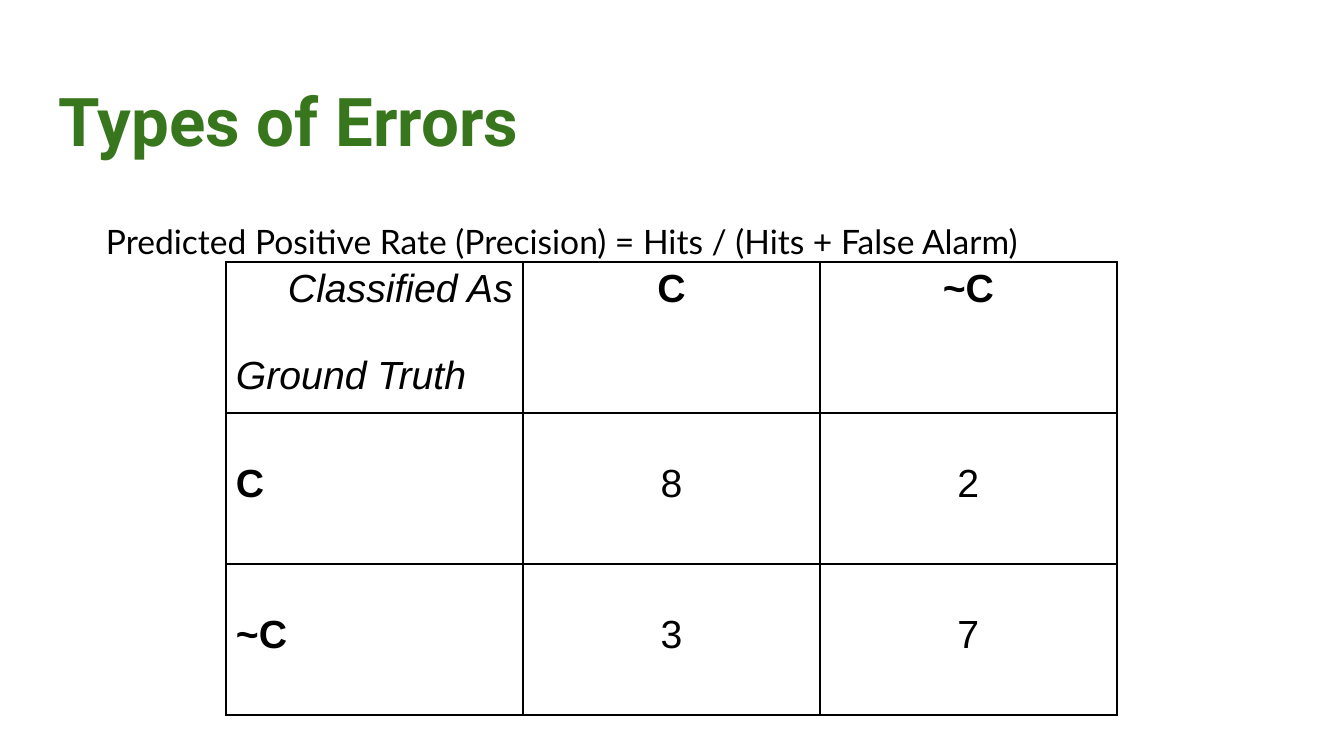
from lxml.etree import SubElement as Sub
from pptx import Presentation
from pptx.dml.color import RGBColor as RGB
from pptx.enum.text import PP_ALIGN as AL
from pptx.oxml.ns import qn
from pptx.util import Pt

THEME = {
    "green": "38761D", "ink": "000000",
    "title": ("Roboto", 36), "body": ("Lato", 18), "cell": ("Arial", 21),
}
TITLE = "Types of Errors"
RULE = "Predicted Positive Rate (Precision) = Hits / (Hits + False Alarm)"
AXES = [("Classified As", AL.RIGHT, 0), ("Ground Truth", AL.LEFT, 23.3)]
NAMES = ["C", "~C"]
COUNTS = [[8, 2], [3, 7]]

LEFT, TOP, COL, ROW = 226, 262, 297, 151
PAD_X, PAD_Y, DROP = 10, 5, 49


def px(n):
    return round(n * 914400 / 134.4)


def write(par, text, role, color="ink", bold=False, italic=False):
    par.text = text
    font = par.font
    font.name, size = THEME[role]
    font.size = Pt(size)
    font.bold, font.italic = bold, italic
    font.color.rgb = RGB.from_string(THEME[color])


def label(slide, box, text, role, **look):
    frame = slide.shapes.add_textbox(*map(px, box)).text_frame
    frame.word_wrap = True
    frame.margin_left = frame.margin_right = px(13)
    frame.margin_top = frame.margin_bottom = px(13)
    write(frame.paragraphs[0], text, role, **look)
    return frame.paragraphs[0]


def border(cell):
    props = cell._tc.get_or_add_tcPr()
    for side in ("lnL", "lnR", "lnT", "lnB"):
        line = Sub(props, qn(f"a:{side}"), w=str(Pt(1)))
        fill = Sub(line, qn("a:solidFill"))
        Sub(fill, qn("a:srgbClr"), val=THEME["ink"])


def style(cell, top):
    border(cell)
    cell.fill.background()
    cell.margin_left = cell.margin_right = px(PAD_X)
    cell.margin_top, cell.margin_bottom = px(top), px(PAD_Y)


def matrix(slide):
    size = len(NAMES) + 1
    box = (LEFT, TOP, COL * size, ROW * size)
    table = slide.shapes.add_table(size, size, *map(px, box)).table
    table.first_row = table.horz_banding = False
    for col in table.columns:
        col.width = px(COL)
    for row in table.rows:
        row.height = px(ROW)

    corner = table.cell(0, 0)
    style(corner, PAD_Y)
    frame = corner.text_frame
    for i, (text, align, gap) in enumerate(AXES):
        par = frame.add_paragraph() if i else frame.paragraphs[0]
        write(par, text, "cell", italic=True)
        par.alignment = align
        if gap:
            par.space_before = Pt(gap)

    grid = [["", *NAMES]] + [[n, *c] for n, c in zip(NAMES, COUNTS)]
    for r, row in enumerate(grid):
        for c, text in enumerate(row):
            if r == c == 0:
                continue
            cell = table.cell(r, c)
            style(cell, DROP if r else PAD_Y)
            par = cell.text_frame.paragraphs[0]
            write(par, str(text), "cell", bold=r == 0 or c == 0)
            par.alignment = AL.CENTER if c else AL.LEFT


def main():
    deck = Presentation()
    deck.slide_width, deck.slide_height = px(1344), px(756)
    slide = deck.slides.add_slide(deck.slide_layouts[6])
    label(slide, (46, 66, 1253, 85), TITLE, "title", color="green", bold=True)
    rule = label(slide, (93, 202, 1159, 554), RULE, "body")
    rule.line_spacing = 1.15
    matrix(slide)
    deck.save("out.pptx")


if __name__ == "__main__":
    main()
